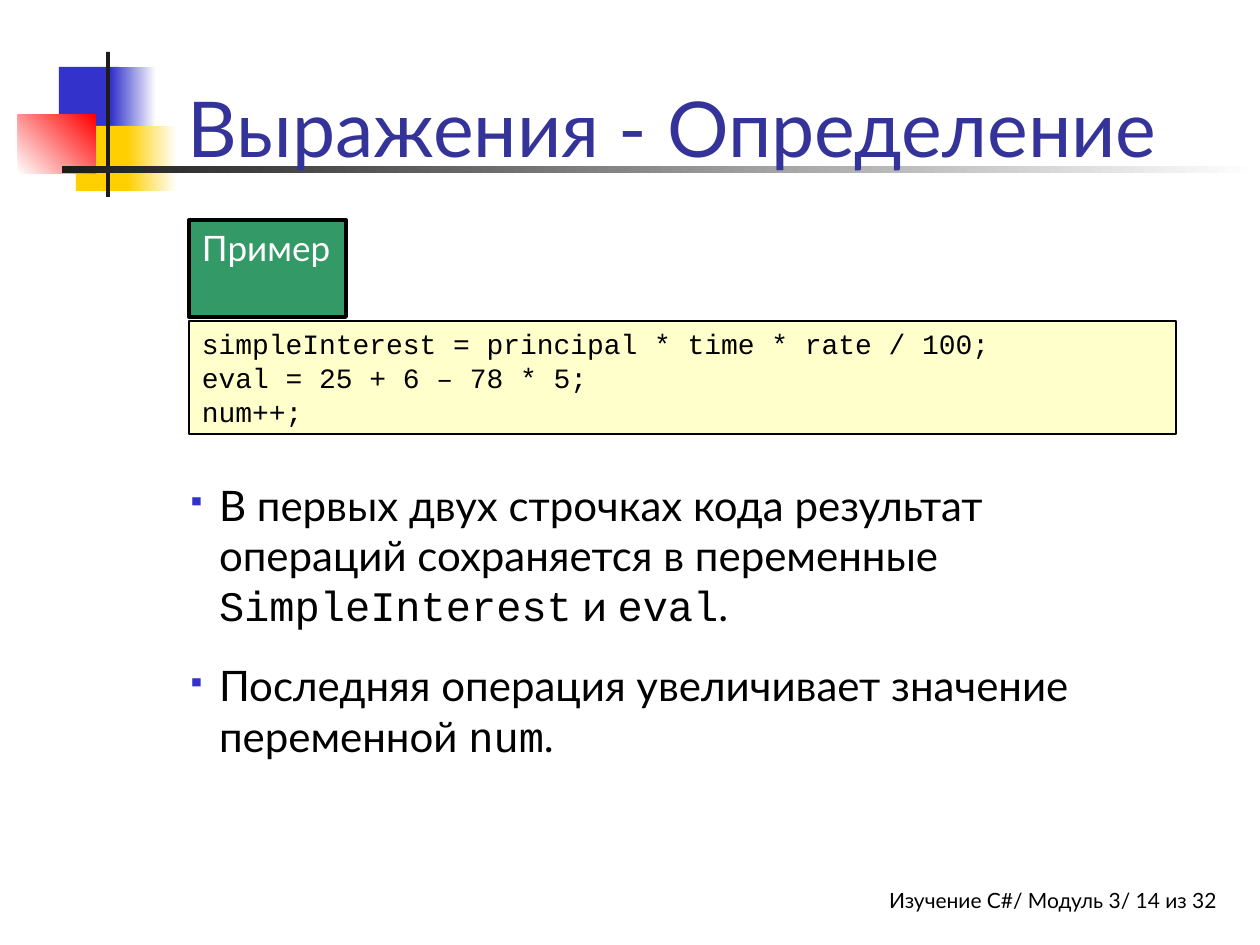
import lxml.etree
import pptx
import pptx.dml.color
import pptx.enum.shapes
import pptx.enum.text
import pptx.oxml.ns
import pptx.util

PX = 914400 // 126
ANCHOR = pptx.enum.text.MSO_ANCHOR
ALIGN = pptx.enum.text.PP_ALIGN


def rgb(value):
    """Return the colour for a hex string."""
    return pptx.dml.color.RGBColor.from_string(value)


class SlideBuilder:
    """Hold the style and the current slide, and add its elements."""

    text_font, code_font = "Lato", "Courier New"
    black, white, blue, yellow = "000000", "FFFFFF", "3333CC", "FFCF01"
    dark, red, title_blue = "1C1C1C", "FF0000", "333399"
    green, cream = "339966", "FFFFCC"
    inset_x, inset_y = 13, 6
    bullet_indent = 32

    def __init__(self, slide):
        """Keep the slide that receives the elements."""
        self.slide = slide

    def lengths(self, *values):
        """Turn px lengths into EMU."""
        return [pptx.util.Emu(value * PX) for value in values]

    def rectangle(self, box, fill, fade_to=None, angle=0, border=None):
        """Add a rectangle with a solid or fading fill."""
        shape = self.slide.shapes.add_shape(
            pptx.enum.shapes.MSO_SHAPE.RECTANGLE, *self.lengths(*box))
        shape.shadow.inherit = False
        if fade_to:
            shape.fill.gradient()
            shape.fill.gradient_angle = angle
            for stop, colour in zip(shape.fill.gradient_stops, (fill, fade_to)):
                stop.color.rgb = rgb(colour)
        else:
            shape.fill.solid()
            shape.fill.fore_color.rgb = rgb(fill)
        if border:
            shape.line.color.rgb = rgb(self.black)
            shape.line.width = pptx.util.Pt(border)
        else:
            shape.line.fill.background()
        return shape

    def text_box(self, box, paragraphs, size, **options):
        """Add a text box and fill in its paragraphs."""
        shape = self.slide.shapes.add_textbox(*self.lengths(*box))
        self.add_text(shape, paragraphs, size, **options)

    def add_text(self, shape, paragraphs, size, colour=black, font=text_font,
                 align=ALIGN.LEFT, anchor=ANCHOR.TOP, inset_right=inset_x,
                 bullets=False, gap=0):
        """Add paragraphs whose odd-numbered parts are code."""
        frame = shape.text_frame
        left, right, edge = self.lengths(self.inset_x, inset_right, self.inset_y)
        frame_format = {
            "word_wrap": True, "vertical_anchor": anchor,
            "margin_left": left, "margin_right": right,
            "margin_top": edge, "margin_bottom": edge,
        }
        for name, value in frame_format.items():
            setattr(frame, name, value)
        for index, parts in enumerate(paragraphs):
            paragraph = frame.add_paragraph() if index else frame.paragraphs[0]
            paragraph.alignment = align
            if bullets:
                self.bullet(paragraph)
            if index and gap:
                paragraph.space_before = pptx.util.Pt(gap)
            for position, part in enumerate(parts):
                run = paragraph.add_run()
                run.text = part
                run.font.color.rgb = rgb(colour)
                font_format = {
                    "name": self.code_font if position % 2 else font,
                    "size": pptx.util.Pt(size),
                }
                for name, value in font_format.items():
                    setattr(run.font, name, value)

    def bullet(self, paragraph):
        """Give a paragraph a small blue square and a hanging indent."""
        properties = paragraph._p.get_or_add_pPr()
        indent, = self.lengths(self.bullet_indent)
        properties.set("marL", str(indent))
        properties.set("indent", str(-indent))

        def add(parent, tag, **attributes):
            return lxml.etree.SubElement(
                parent, pptx.oxml.ns.qn(tag), attributes)

        add(add(properties, "a:buClr"), "a:srgbClr", val=self.blue)
        add(properties, "a:buSzPct", val="60000")
        add(properties, "a:buChar", char="▪")


def main():
    """Build the slide and save it."""
    deck = pptx.Presentation()
    deck.slide_width, deck.slide_height = pptx.util.Inches(10), pptx.util.Inches(7.5)
    builder = SlideBuilder(deck.slides.add_slide(deck.slide_layouts[6]))

    builder.text_box((577, 882, 640, 42), [["Изучение C#/ Модуль 3/ 14 из 32"]],
                     12, align=ALIGN.RIGHT, inset_right=0)

    emblem = [
        ((59, 67, 60, 66), builder.blue),
        ((111, 67, 45, 66), builder.blue, builder.white),
        ((76, 126, 58, 65), builder.yellow),
        ((127, 126, 50, 65), builder.yellow, builder.white),
        ((18, 115, 78, 59), builder.white, builder.red, 45),
        ((106, 52, 4, 145), builder.dark),
        ((62, 166, 1198, 7), builder.dark, builder.white),
    ]
    for part in emblem:
        builder.rectangle(*part)

    builder.text_box((175, 21, 1074, 158), [["Выражения - Определение"]],
                     44, colour=builder.title_blue, anchor=ANCHOR.BOTTOM)

    example_label = builder.rectangle((189, 220, 157, 97), builder.green, border=2.25)
    builder.add_text(example_label, [["Пример"]], 20, colour=builder.white)

    code_panel = builder.rectangle((189, 321, 987, 113), builder.cream, border=0.75)
    code_lines = [
        ["simpleInterest = principal * time * rate / 100;"],
        ["eval = 25 + 6 – 78 * 5;"],
        ["num++;"],
    ]
    builder.add_text(code_panel, code_lines, 16, font=builder.code_font)

    explanations = [
        ["В первых двух строчках кода результат операций сохраняется в переменные ",
         "SimpleInterest", " и ", "eval", "."],
        ["Последняя операция увеличивает значение переменной ", "num", "."],
    ]
    builder.text_box((174, 473, 1018, 295), explanations, 24, bullets=True, gap=17)

    deck.save("out.pptx")


if __name__ == "__main__":
    main()
